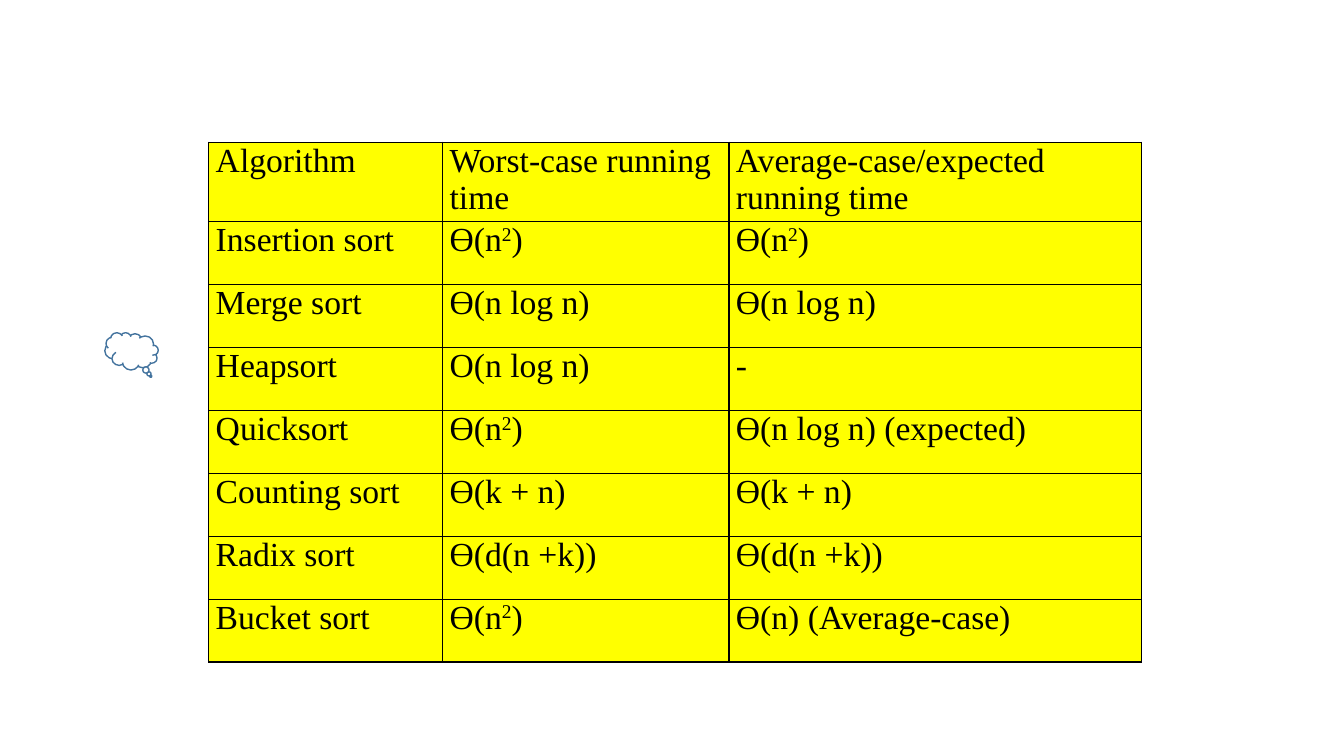
import pptx
import pptx.dml.color
import pptx.enum.shapes
import pptx.oxml
import pptx.oxml.ns
import pptx.util

Inches = pptx.util.Inches
Pt = pptx.util.Pt

HEADINGS = ("Algorithm", "Worst-case running time", "Average-case/expected running time")
SORTS = [
    ("Insertion sort", "Ɵ(n²)", "Ɵ(n²)"),
    ("Merge sort", "Ɵ(n log n)", "Ɵ(n log n)"),
    ("Heapsort", "O(n log n)", "-"),
    ("Quicksort", "Ɵ(n²)", "Ɵ(n log n) (expected)"),
    ("Counting sort", "Ɵ(k + n)", "Ɵ(k + n)"),
    ("Radix sort", "Ɵ(d(n +k))", "Ɵ(d(n +k))"),
    ("Bucket sort", "Ɵ(n²)", "Ɵ(n) (Average-case)"),
]


def color(hex_string):
    return pptx.dml.color.RGBColor.from_string(hex_string)


class SlideBuilder:
    font_name = "Times New Roman"
    font_size = 24
    text_color = "000000"
    cell_color = "FFFF00"
    border_color = "000000"
    cloud_fill = "FFFFFF"
    cloud_line = "43739E"

    def __init__(self, slide):
        self.slide = slide

    def run(self, paragraph, text, raised=False):
        run = paragraph.add_run()
        run.text = text
        run.font.name = self.font_name
        run.font.size = Pt(self.font_size)
        run.font.color.rgb = color(self.text_color)
        if raised:
            run.font._element.set("baseline", "30000")

    def borders(self, cell):
        properties = cell._tc.get_or_add_tcPr()
        for side in ("lnL", "lnR", "lnT", "lnB"):
            properties.append(pptx.oxml.parse_xml(
                f'<a:{side} {pptx.oxml.ns.nsdecls("a")} w="{Pt(1)}"><a:solidFill>'
                f'<a:srgbClr val="{self.border_color}"/></a:solidFill></a:{side}>'))

    def cell(self, cell, text):
        """Fill one table cell; a ² in the text becomes a raised 2."""
        cell.margin_left = cell.margin_right = Inches(0.07)
        cell.margin_top = cell.margin_bottom = 0
        self.borders(cell)
        cell.fill.solid()
        cell.fill.fore_color.rgb = color(self.cell_color)
        paragraph = cell.text_frame.paragraphs[0]
        base, square, rest = text.partition("²")
        self.run(paragraph, base)
        if square:
            self.run(paragraph, "2", raised=True)
            self.run(paragraph, rest)

    def table(self, left, top, widths, heights, rows):
        table = self.slide.shapes.add_table(
            len(rows), len(widths), Inches(left), Inches(top),
            Inches(sum(widths)), Inches(sum(heights))).table
        for column, width in zip(table.columns, widths):
            column.width = Inches(width)
        for row, height, texts in zip(table.rows, heights, rows):
            row.height = Inches(height)
            for cell, text in zip(row.cells, texts):
                self.cell(cell, text)

    def thought_cloud(self, left, top, width, height, tail):
        """Draw a mirrored cloud callout whose tail ends at the given offsets."""
        cloud = self.slide.shapes.add_shape(
            pptx.enum.shapes.MSO_SHAPE.CLOUD_CALLOUT,
            Inches(left), Inches(top), Inches(width), Inches(height))
        cloud.shadow.inherit = False
        cloud.fill.solid()
        cloud.fill.fore_color.rgb = color(self.cloud_fill)
        cloud.line.color.rgb = color(self.cloud_line)
        cloud.line.width = Pt(1)
        cloud.adjustments[0], cloud.adjustments[1] = tail
        cloud._element.spPr.xfrm.set("flipH", "1")


def main():
    deck = pptx.Presentation()
    deck.slide_width = Inches(13.33)
    deck.slide_height = Inches(7.5)
    builder = SlideBuilder(deck.slides.add_slide(deck.slide_layouts[6]))

    heading_height, table_height = 0.79, 5.16
    sort_height = (table_height - heading_height) / len(SORTS)
    builder.table(2.07, 1.41, (2.32, 2.84, 4.09),
                  [heading_height] + [sort_height] * len(SORTS), [HEADINGS] + SORTS)
    builder.thought_cloud(1.04, 3.3, 0.53, 0.37, tail=(-0.36, 0.67))

    deck.save("out.pptx")


if __name__ == "__main__":
    main()
